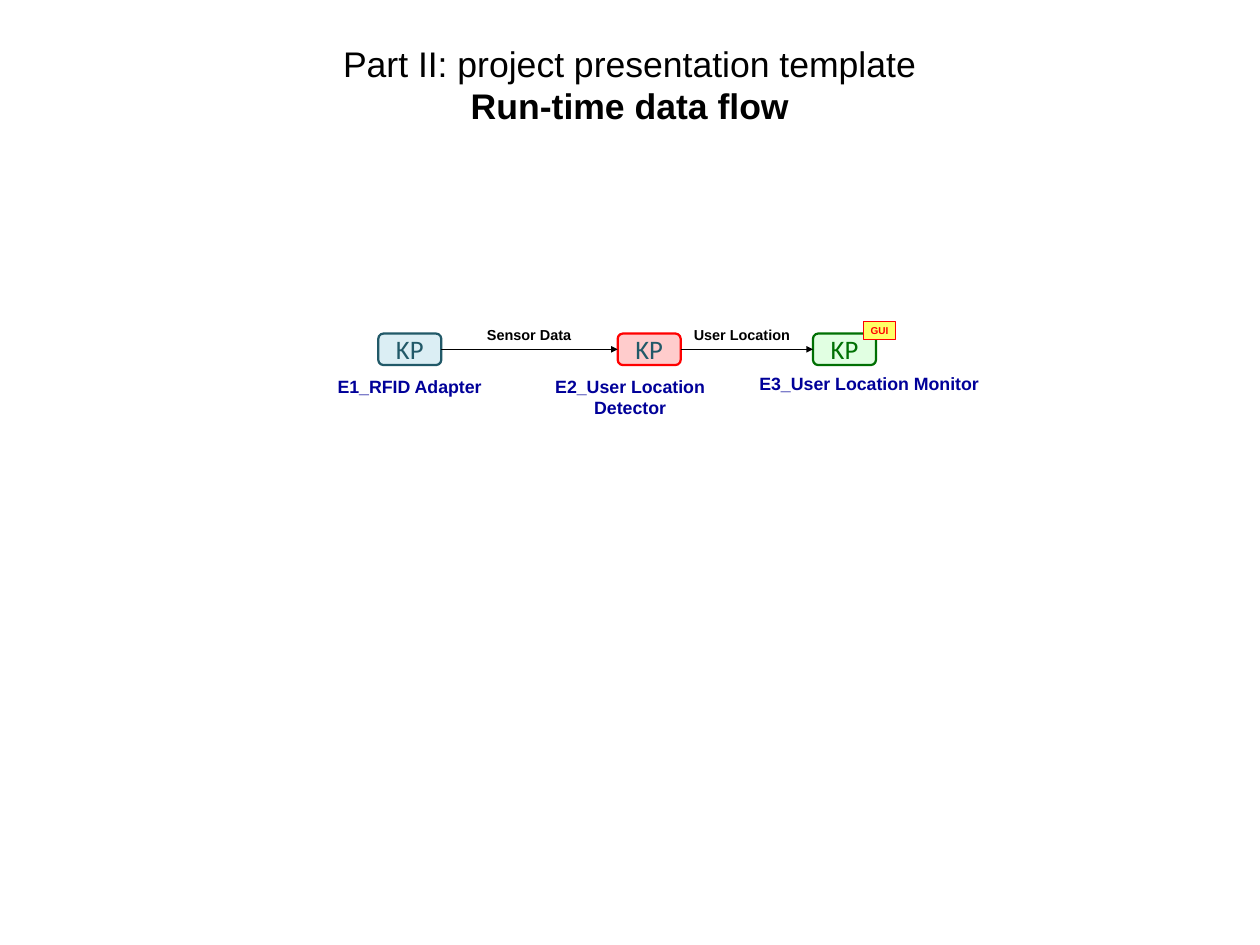
"""Build the run-time data flow slide."""
from lxml.etree import SubElement
from pptx import Presentation
from pptx.dml.color import RGBColor
from pptx.enum.shapes import MSO_CONNECTOR as Link, MSO_SHAPE as Form
from pptx.enum.text import MSO_ANCHOR as Anchor, PP_ALIGN as Align
from pptx.oxml.ns import qn
from pptx.util import Cm, Pt

BLACK = RGBColor(0x00, 0x00, 0x00)
NAVY = RGBColor(0x00, 0x00, 0x99)
TEAL = RGBColor(0x21, 0x59, 0x68)
SKY = RGBColor(0xDB, 0xEE, 0xF4)
RED = RGBColor(0xFF, 0x00, 0x00)
PINK = RGBColor(0xFF, 0xCC, 0xCC)
GREEN = RGBColor(0x00, 0x70, 0x03)
MINT = RGBColor(0xE1, 0xFF, 0xE2)
YELLOW = RGBColor(0xFF, 0xFF, 0x66)


def add_run(para, text, size, color, bold=True, face="Arial"):
    """Add one styled run to a paragraph."""
    run = para.add_run()
    run.text = text
    font = run.font
    font.name, font.size, font.bold = face, Pt(size), bold
    font.color.rgb = color


def add_text(slide, left, top, width, height, wrap=True):
    """Add a text box and return its centred paragraph."""
    box = slide.shapes.add_textbox(Cm(left), Cm(top), Cm(width), Cm(height))
    frame = box.text_frame
    frame.word_wrap = wrap
    para = frame.paragraphs[0]
    para.alignment = Align.CENTER
    return para


def add_block(slide, form, area, fill, edge, weight):
    """Add a filled and outlined shape."""
    block = slide.shapes.add_shape(form, *map(Cm, area))
    block.shadow.inherit = False
    block.fill.solid()
    block.fill.fore_color.rgb = fill
    block.line.color.rgb = edge
    block.line.width = Pt(weight)
    return block


def add_node(slide, left, fill, edge, ink):
    """Add one KP node."""
    node = add_block(slide, Form.ROUNDED_RECTANGLE, (left, 10.59, 2, 1), fill, edge, 2)
    frame = node.text_frame
    frame.margin_left = frame.margin_right = Cm(0.05)
    frame.vertical_anchor = Anchor.MIDDLE
    para = frame.paragraphs[0]
    para.alignment = Align.CENTER
    add_run(para, "KP", 24, ink, False, "Calibri")
    return node


def add_arrow(slide, start, end):
    """Join the right side of one node to the left side of the next."""
    arrow = slide.shapes.add_connector(Link.ELBOW, 0, 0, 0, 0)
    arrow.begin_connect(start, 3)
    arrow.end_connect(end, 1)
    arrow.line.color.rgb = BLACK
    arrow.line.width = Pt(1.5)
    SubElement(arrow.line._get_or_add_ln(), qn("a:tailEnd"), type="triangle")
    SubElement(arrow._element.spPr, qn("a:effectLst"))


def add_badge(slide):
    """Add the GUI badge on the monitor node."""
    badge = add_block(slide, Form.RECTANGLE, (27.41, 10.21, 1.02, 0.58), YELLOW, RED, 0.75)
    frame = badge.text_frame
    frame.word_wrap = False
    frame.vertical_anchor = Anchor.TOP
    frame.margin_left = frame.margin_right = Cm(0.23)
    para = frame.paragraphs[0]
    para.alignment = Align.LEFT
    para.line_spacing = 0.93
    add_run(para, "GUI", 9, RED)


def main():
    """Draw the slide and save it."""
    deck = Presentation()
    deck.slide_width, deck.slide_height = Cm(40), Cm(30)
    slide = deck.slides.add_slide(deck.slide_layouts[6])

    title = add_text(slide, 2, 1.2, 36, 5)
    add_run(title, "Part II: project presentation template", 32, BLACK, False)
    title.add_line_break()
    add_run(title, "Run-time data flow", 32, BLACK)

    nodes = [
        add_node(slide, left, fill, edge, ink)
        for left, fill, edge, ink in (
            (12.01, SKY, TEAL, TEAL),
            (19.61, PINK, RED, TEAL),
            (25.81, MINT, GREEN, GREEN),
        )
    ]
    for start, end in zip(nodes, nodes[1:]):
        add_arrow(slide, start, end)

    for text, left, top, width, height in (
        ("E1_RFID Adapter", 10.21, 11.79, 5.59, 0.94),
        ("E2_User Location Detector", 16.21, 11.79, 7.59, 1.6),
        ("E3_User Location Monitor", 23.8, 11.71, 7.59, 0.94),
    ):
        add_run(add_text(slide, left, top, width, height), text, 16, NAVY)

    for text, left, width, wrap in (
        ("Sensor Data", 14.99, 3.61, True),
        ("User Location", 21.77, 3.56, False),
    ):
        add_run(add_text(slide, left, 10.24, width, 0.81, wrap), text, 13, BLACK)

    add_badge(slide)
    deck.save("out.pptx")


if __name__ == "__main__":
    main()
